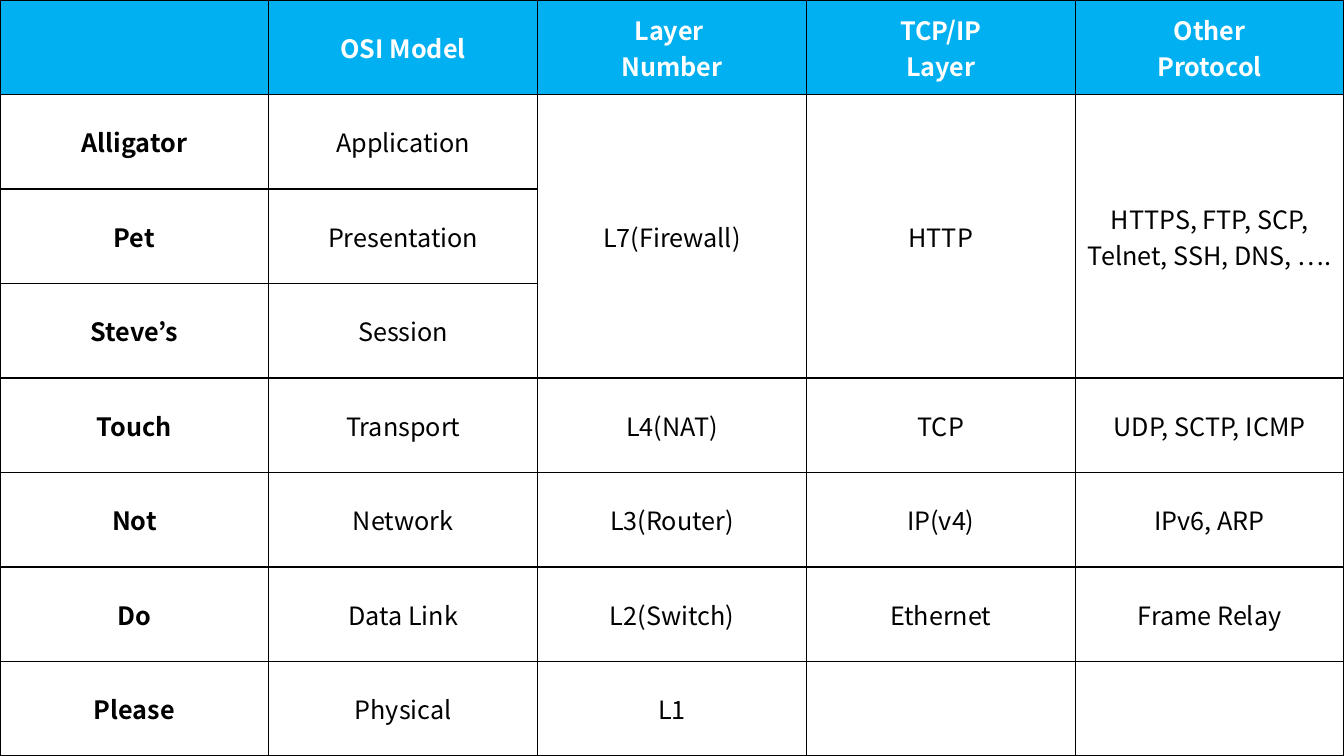
from dataclasses import dataclass

from lxml.etree import SubElement
from pptx import Presentation
from pptx.dml.color import RGBColor
from pptx.enum.text import MSO_ANCHOR, PP_ALIGN
from pptx.oxml.ns import qn
from pptx.util import Cm, Pt


@dataclass(frozen=True)
class Theme:
    font: str = "Noto Sans CJK KR"
    size: int = 18
    header_fill: str = "00B0F0"
    header_text: str = "FFFFFF"
    body_text: str = "000000"
    border: str = "000000"
    border_width: int = 1


THEME = Theme()
BLANK_LAYOUT = 6

LAYERS = [
    ["", "OSI Model", "Layer \nNumber", "TCP/IP\nLayer", "Other\nProtocol"],
    ["Alligator", "Application", "L7(Firewall)", "HTTP",
     "HTTPS, FTP, SCP, Telnet, SSH, DNS, …."],
    ["Pet", "Presentation", "", "", ""],
    ["Steve’s", "Session", "", "", ""],
    ["Touch", "Transport", "L4(NAT)", "TCP", "UDP, SCTP, ICMP"],
    ["Not", "Network", "L3(Router)", "IP(v4)", "IPv6, ARP"],
    ["Do", "Data Link", "L2(Switch)", "Ethernet", "Frame Relay"],
    ["Please", "Physical", "L1", "", ""],
]
# The top three OSI layers share these columns
SHARED_ROWS = (1, 3)
SHARED_COLUMNS = range(2, 5)


def add_borders(cell):
    properties = cell._tc.get_or_add_tcPr()
    for side in ("lnL", "lnR", "lnT", "lnB"):
        line = SubElement(properties, qn(f"a:{side}"), w=str(Pt(THEME.border_width)))
        fill = SubElement(line, qn("a:solidFill"))
        SubElement(fill, qn("a:srgbClr"), val=THEME.border)


def format_cell(cell, text, is_header, is_bold):
    # Borders come before the fill in the cell's XML
    add_borders(cell)
    if is_header:
        cell.fill.solid()
        cell.fill.fore_color.rgb = RGBColor.from_string(THEME.header_fill)
    else:
        cell.fill.background()
    cell.vertical_anchor = MSO_ANCHOR.MIDDLE
    cell.text = text
    color = THEME.header_text if is_header else THEME.body_text
    for paragraph in cell.text_frame.paragraphs:
        paragraph.alignment = PP_ALIGN.CENTER
        paragraph.font.name = THEME.font
        paragraph.font.size = Pt(THEME.size)
        paragraph.font.bold = is_bold
        paragraph.font.color.rgb = RGBColor.from_string(color)


def add_layer_table(slide, left, top, width, height):
    row_count, column_count = len(LAYERS), len(LAYERS[0])
    layer_table = slide.shapes.add_table(
        row_count, column_count, left, top, width, height).table
    layer_table.first_row = False
    layer_table.horz_banding = False

    # Equal columns and rows
    for column in layer_table.columns:
        column.width = width // column_count
    for row in layer_table.rows:
        row.height = height // row_count

    # Header row and mnemonic column are bold
    for r, layer in enumerate(LAYERS):
        for c, text in enumerate(layer):
            format_cell(layer_table.cell(r, c), text, r == 0, r == 0 or c == 0)

    # Merged cells
    first, last = SHARED_ROWS
    for c in SHARED_COLUMNS:
        layer_table.cell(first, c).merge(layer_table.cell(last, c))


def main():
    deck = Presentation()
    deck.slide_width, deck.slide_height = Cm(33.87), Cm(19.05)
    slide = deck.slides.add_slide(deck.slide_layouts[BLANK_LAYOUT])
    add_layer_table(slide, Cm(0), Cm(0), deck.slide_width, deck.slide_height)
    deck.save("out.pptx")


if __name__ == "__main__":
    main()
